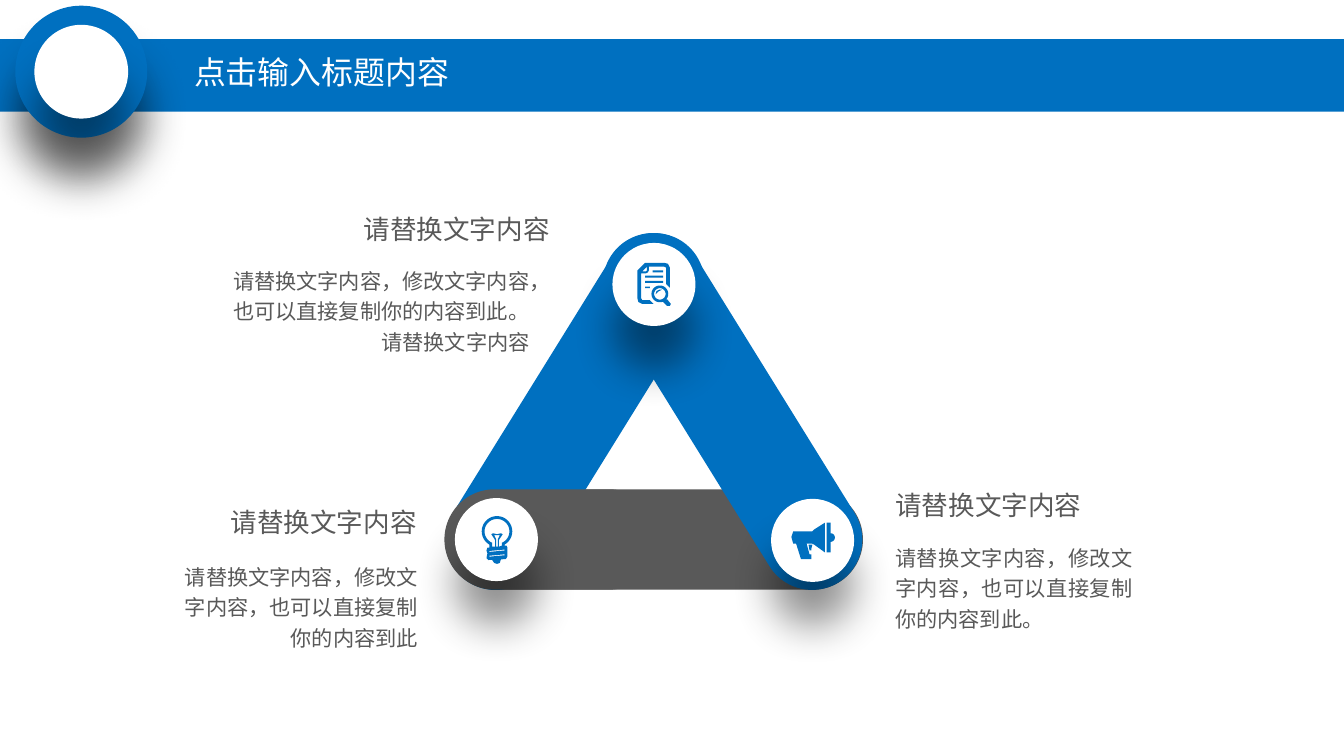
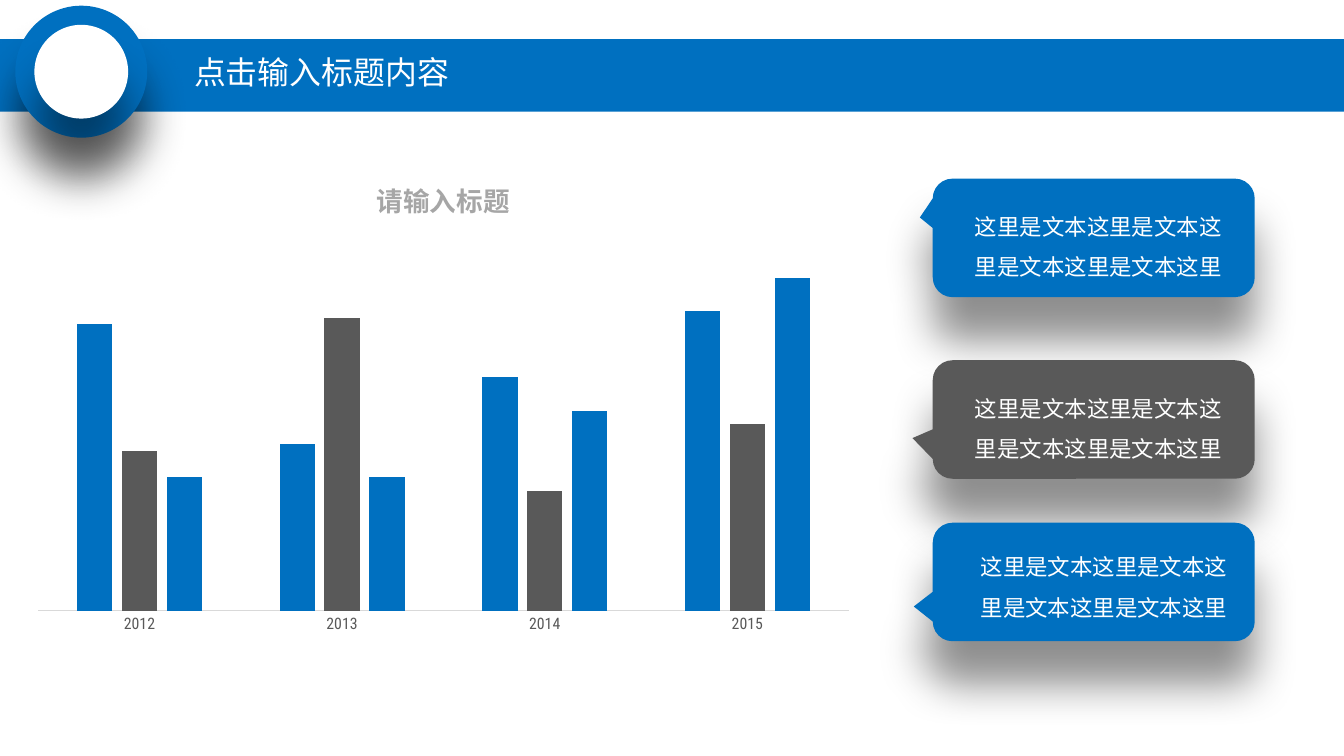
from math import cos, radians, sin

from lxml import etree
from pptx import Presentation
from pptx.chart.data import CategoryChartData
from pptx.dml.color import RGBColor
from pptx.enum.chart import XL_CHART_TYPE as CHART, XL_TICK_MARK as TICK
from pptx.enum.shapes import MSO_SHAPE as SHAPE
from pptx.enum.text import MSO_ANCHOR as ANCHOR, MSO_AUTO_SIZE as FIT, PP_ALIGN as ALIGN
from pptx.oxml import parse_xml
from pptx.oxml.ns import nsdecls, qn
from pptx.util import Pt

COLORS = {
    "blue": "0070C0",
    "gray": "595959",
    "white": "FFFFFF",
    "black": "000000",
    "title": "A6A6A6",
    "axis": "D9D9D9",
}
FONT = "Roboto Condensed"
HEADING = "请替换文字内容"


def rgb(name):
    return RGBColor.from_string(COLORS[name])


def style_font(font, size, color, name=FONT, bold=False):
    font.size, font.name, font.bold = Pt(size), name, bold
    font.color.rgb = rgb(color)


def write(tf, text, size=16, color="gray", font=FONT, align=ALIGN.LEFT,
          spacing=1.2, anchor=ANCHOR.TOP, fit=FIT.NONE):
    tf.word_wrap = True
    tf.auto_size = fit
    tf.vertical_anchor = anchor
    p = tf.paragraphs[0]
    p.alignment = align
    p.line_spacing = spacing
    r = p.add_run()
    r.text = text
    style_font(r.font, size, color, font)


def add_text(s, x, y, w, h, text, **fmt):
    box = s.shapes.add_textbox(Pt(x), Pt(y), Pt(w), Pt(h))
    write(box.text_frame, text, fit=FIT.SHAPE_TO_FIT_TEXT, **fmt)


def paint(sp, color, shadow=False):
    sp.fill.solid()
    sp.fill.fore_color.rgb = rgb(color)
    sp.line.fill.background()
    sp.shadow.inherit = False
    if shadow:
        effects = sp.element.spPr.find(qn("a:effectLst"))
        outer = etree.SubElement(
            effects, qn("a:outerShdw"), blurRad=str(Pt(33)), dist=str(Pt(33)),
            dir="5400000", algn="t", rotWithShape="0")
        clr = etree.SubElement(outer, qn("a:srgbClr"), val=COLORS["black"])
        etree.SubElement(clr, qn("a:alpha"), val="43000")


def add_shape(s, kind, x, y, w, h, color, shadow=False, adj=(), rotation=0):
    sp = s.shapes.add_shape(kind, Pt(x), Pt(y), Pt(w), Pt(h))
    paint(sp, color, shadow)
    for i, value in enumerate(adj):
        sp.adjustments[i] = value
    sp.rotation = rotation
    return sp


def add_disc(s, cx, cy, d, color):
    return add_shape(s, SHAPE.OVAL, cx - d / 2, cy - d / 2, d, d, color, shadow=True)


def add_bar(s, cx, cy, w, color, rotation=0):
    h = 75.6
    add_shape(s, SHAPE.ROUNDED_RECTANGLE, cx - w / 2, cy - h / 2, w, h, color,
              adj=[0.5], rotation=rotation)


def arc(cx, cy, r, start, end, steps=30):
    angles = [radians(start + (end - start) * i / steps) for i in range(steps + 1)]
    return [(cx + r * cos(a), cy + r * sin(a)) for a in angles]


def rect(x1, y1, x2, y2):
    return [(x1, y1), (x2, y1), (x2, y2), (x1, y2)]


def add_icon(s, x, y, contours):
    fb = None
    for contour in contours:
        points = [(px * 72, py * 72) for px, py in contour]
        if fb is None:
            fb = s.shapes.build_freeform(*points[0], scale=Pt(0.01))
        else:
            fb.move_to(*points[0])
        fb.add_line_segments(points[1:], close=True)
    paint(fb.convert_to_shape(Pt(x), Pt(y)), "blue")


def document_icon():
    page = [(10, 0), (28, 0), (32, 1), (34, 5), (34, 26), (30, 22), (30, 5),
            (28, 4), (12, 4), (12, 8), (11, 10), (9, 11), (4, 11), (4, 37),
            (5, 39), (13, 39), (17, 43), (5, 43), (1, 41), (0, 37), (0, 8), (8, 0)]
    fold = [(10, 4), (5, 9), (9, 9), (10, 8)]
    lines = [rect(8, 25, 13, 26.5), rect(8, 19, 27, 21),
             rect(8, 13.5, 27, 15.5), rect(16, 8, 27, 10)]
    lens = [arc(23.5, 32.5, r, 0, 360) for r in (8.8, 6)]
    glint = [(19, 33), (20, 29.5), (23, 28), (26, 28), (22, 30)]
    handle = [(27, 41), (31, 45), (34, 45), (35, 43), (31, 38)]
    return [page, fold, *lines, *lens, glint, handle]


def bulb_icon():
    outline = arc(16, 16, 16, 120, 420) + [
        (24, 31), (26, 31), (27, 33), (27, 42), (26, 44), (25, 45), (7, 46),
        (5, 44), (6, 39), (5, 36), (6, 33), (8, 33), (8, 30)]
    glass = arc(16, 16, 13, 120, 420) + [
        (21, 28), (21, 31), (18, 32), (18, 25), (22, 19), (20, 18), (16, 19),
        (12, 18), (10, 19), (14, 25), (14, 32), (11, 32), (11, 28)]
    filament = [(13, 20), (15, 24), (15, 32), (17, 32), (17, 24), (19, 20)]
    slots = [[(8, y + 1.5), (24, y), (24, y + 1), (8, y + 2.5)] for y in (35, 40)]
    base = [(11, 46), (20, 45.5), (19, 49), (16, 50), (13, 49)]
    return [outline, glass, filament, *slots, base]


def megaphone_icon():
    horn = [(2, 9), (22, 9), (24, 7), (35, 0), (35, 31), (24, 23), (22, 22),
            (16, 22), (19, 33), (21, 33), (21, 38), (10, 38), (5, 22), (2, 22),
            (0, 15)]
    rim = [(37, 0), (41, 0)] + arc(41, 15.5, 4.5, -90, 90) + [(41, 31), (37, 31)]
    grip = [(22, 23), (18, 23), (19, 29), (21, 29), (21, 27)]
    return [horn, rim, grip]


def build_layout(prs, s):
    layout = s.slide_layout
    title = layout.placeholders[0]
    title.left, title.top, title.width, title.height = Pt(139), Pt(36), Pt(250), Pt(39.6)
    header = [
        add_shape(s, SHAPE.RECTANGLE, 0, 29.5, prs.slide_width.pt, 54.7, "blue"),
        add_disc(s, 61.2, 54, 99.4, "blue"),
        add_disc(s, 61.2, 54, 70.6, "white"),
    ]
    for i, sp in enumerate(header, 2):
        layout.shapes.element.insert(i, sp.element)


def set_title(s):
    write(s.shapes.title.text_frame, "点击输入标题内容", size=24, color="white",
          spacing=0.9, anchor=ANCHOR.MIDDLE)


def build_triangle(s):
    add_bar(s, 493.2, 406.4, 313.9, "gray")
    add_bar(s, 551.9, 310, 303, "blue", 58.2)
    add_bar(s, 433.1, 310, 303, "blue", 301.8)
    add_bar(s, 415.8, 406.4, 162, "gray")
    corners = [
        (492.7, 214.3, 480.2, 198, document_icon()),
        (374, 406.5, 362.9, 388.8, bulb_icon()),
        (612.2, 407.1, 596.2, 393.8, megaphone_icon()),
    ]
    for cx, cy, *_ in corners:
        add_disc(s, cx, cy, 62.6, "white")
    for _, _, x, y, contours in corners:
        add_icon(s, x, y, contours)

    body = "请替换文字内容，修改文字内容，也可以直接复制你的内容到此"
    notes = [
        ((667.4, 360, 167.8), (667.4, 403.2, 193), body + "。", ALIGN.LEFT, ALIGN.JUSTIFY),
        ((251.3, 151.9, 169.9), (154.8, 194.4, 251.3), body + "。" + HEADING,
         ALIGN.RIGHT, ALIGN.RIGHT),
        ((154.8, 373, 166.3), (121, 417.6, 200.9), body, ALIGN.RIGHT, ALIGN.RIGHT),
    ]
    for head_at, body_at, text, head_align, body_align in notes:
        add_text(s, *head_at, 34.6, HEADING, size=20, align=head_align)
        add_text(s, *body_at, 77, text, align=body_align)


def add_column_chart(s):
    data = CategoryChartData()
    data.categories = ["2012", "2013", "2014", "2015"]
    series = [([86, 50, 70, 90], "blue"), ([48, 88, 36, 56], "gray"),
              ([40, 40, 60, 100], "blue")]
    for i, (values, _) in enumerate(series, 1):
        data.add_series(f"Series {i}", values)
    chart = s.shapes.add_chart(CHART.COLUMN_CLUSTERED, Pt(18), Pt(118.1), Pt(632.2),
                               Pt(421.2), data).chart
    style_font(chart.font, 10, "black")
    chart.has_legend = False
    chart.has_title = True
    p = chart.chart_title.text_frame.paragraphs[0]
    r = p.add_run()
    r.text = "请输入标题"
    style_font(r.font, 20, "title", bold=True)

    plot = chart.plots[0]
    plot.gap_width, plot.overlap, plot.vary_by_categories = 219, -27, False
    for ser, (_, color) in zip(plot.series, series):
        ser.format.fill.solid()
        ser.format.fill.fore_color.rgb = rgb(color)

    cat, val = chart.category_axis, chart.value_axis
    cat.major_tick_mark = cat.minor_tick_mark = TICK.NONE
    style_font(cat.tick_labels.font, 11.9, "gray")
    cat.format.line.color.rgb = rgb("axis")
    cat.format.line.width = Pt(0.75)
    val.minimum_scale, val.maximum_scale = 0, 120
    val.has_major_gridlines = False
    val.visible = False
    set_plot_area(chart, x=0.017, y=0.097, w=0.966, h=0.715)


def set_plot_area(chart, **box):
    area = chart.element.find(".//" + qn("c:plotArea"))
    for old in area.findall(qn("c:layout")):
        area.remove(old)
    sizes = "".join(f'<c:{k} val="{v}"/>' for k, v in box.items())
    area.insert(0, parse_xml(
        f'<c:layout {nsdecls("c")}><c:manualLayout><c:layoutTarget val="inner"/>'
        f'<c:xMode val="edge"/><c:yMode val="edge"/>{sizes}'
        '</c:manualLayout></c:layout>'))


def add_callout(s, y, color, tip, left=27.4, top=11.5):
    sp = add_shape(s, SHAPE.ROUNDED_RECTANGULAR_CALLOUT, 702.7, y, 242.6, 89.3, color,
                   shadow=True, adj=[*tip, 0.167])
    tf = sp.text_frame
    tf.margin_left, tf.margin_top = Pt(left), Pt(top)
    tf.margin_right, tf.margin_bottom = Pt(34.6 - left), Pt(0)
    write(tf, "这里是文本" * 4 + "这里", size=16.9, color="white", font="Calibri",
          spacing=1.5)


def build_chart_slide(s):
    add_column_chart(s)
    add_callout(s, 134.6, "blue", (-0.54, -0.172))
    add_callout(s, 271.4, "gray", (-0.563, 0.157))
    add_callout(s, 393.8, "blue", (-0.559, 0.207), left=31.7, top=8.6)


def main():
    prs = Presentation()
    prs.slide_width, prs.slide_height = Pt(1012.5), Pt(569.5)
    layout = prs.slide_layouts[5]
    slides = [prs.slides.add_slide(layout) for _ in range(2)]
    build_layout(prs, slides[0])
    for s, build in zip(slides, (build_triangle, build_chart_slide)):
        set_title(s)
        build(s)
    prs.save("out.pptx")


if __name__ == "__main__":
    main()
